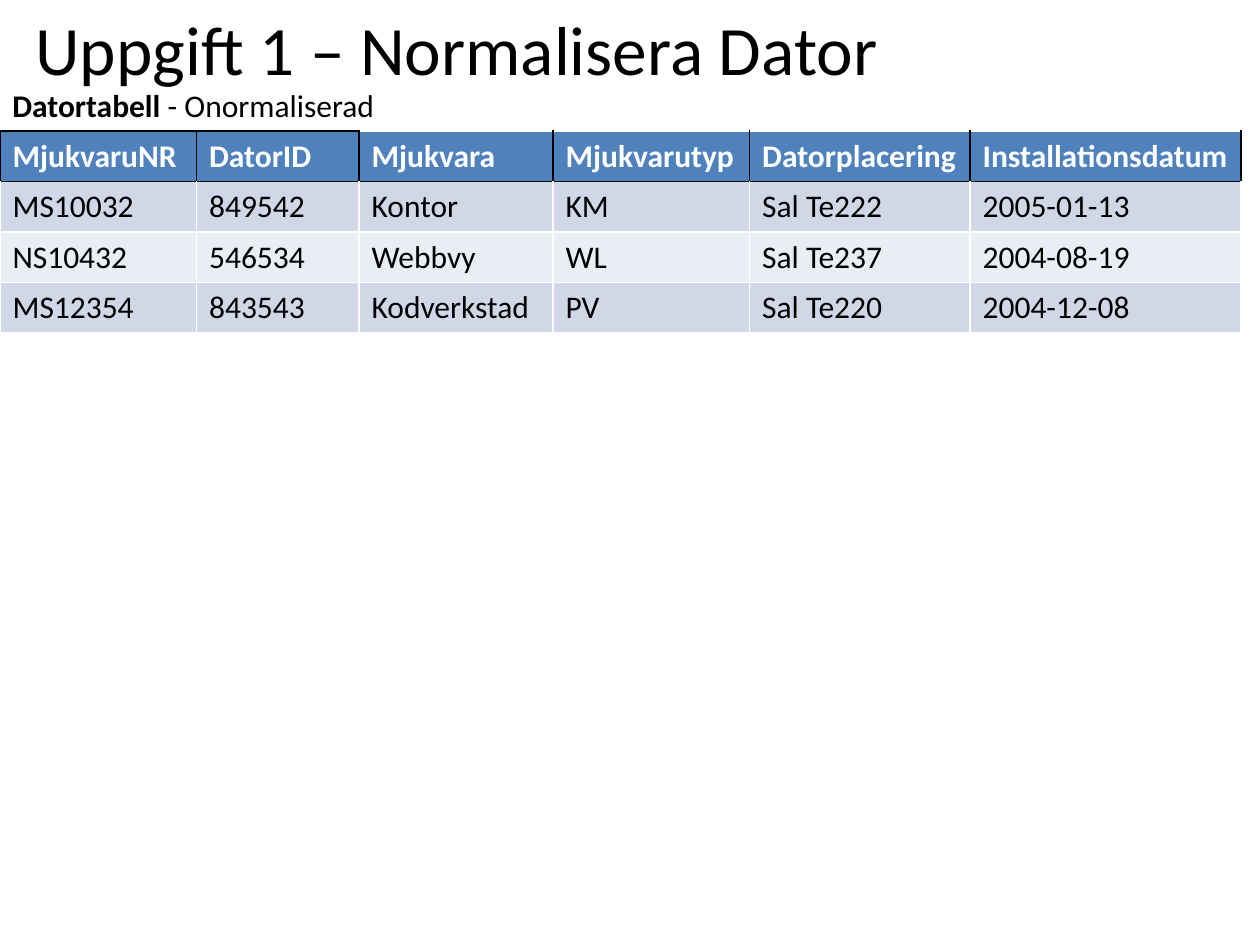
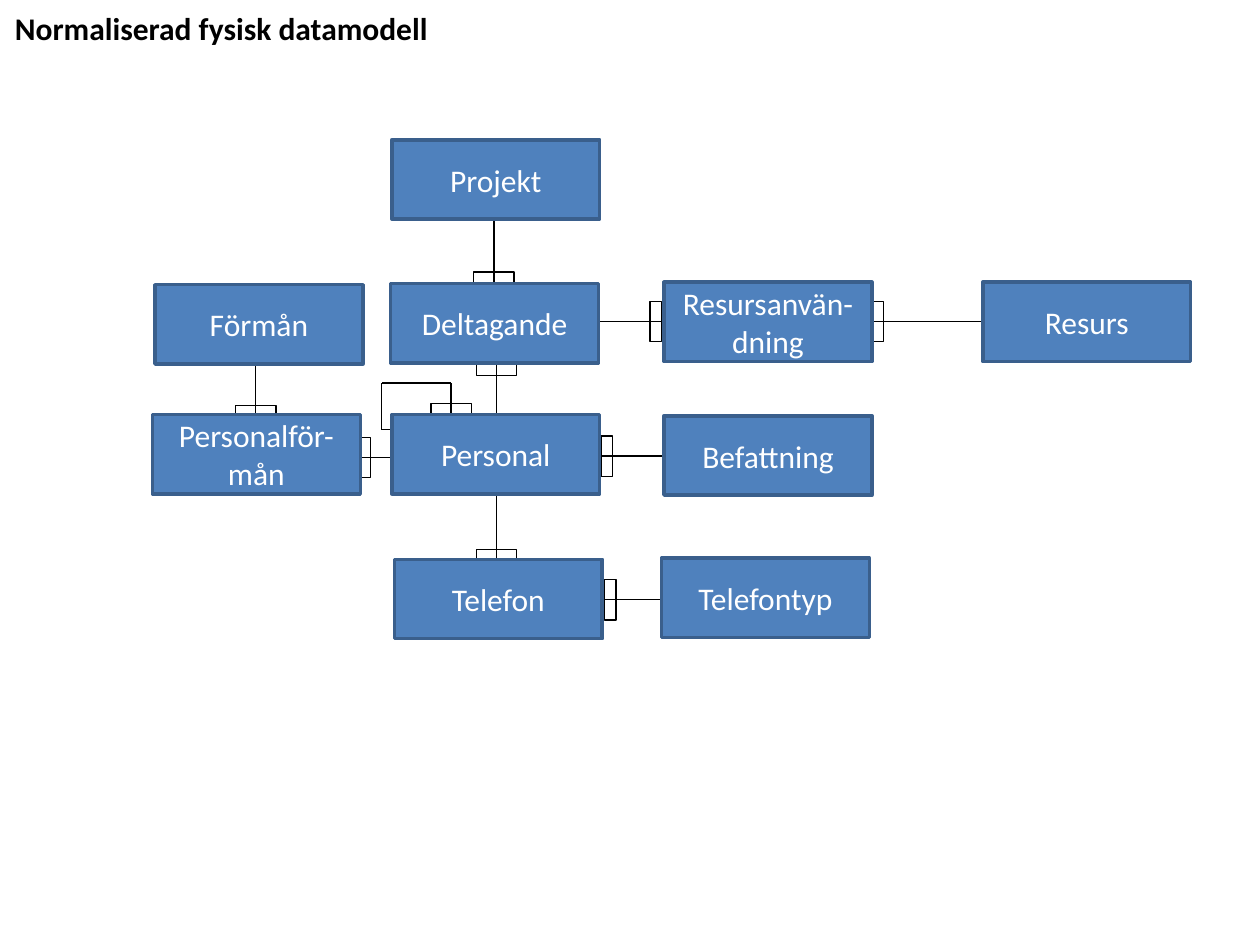
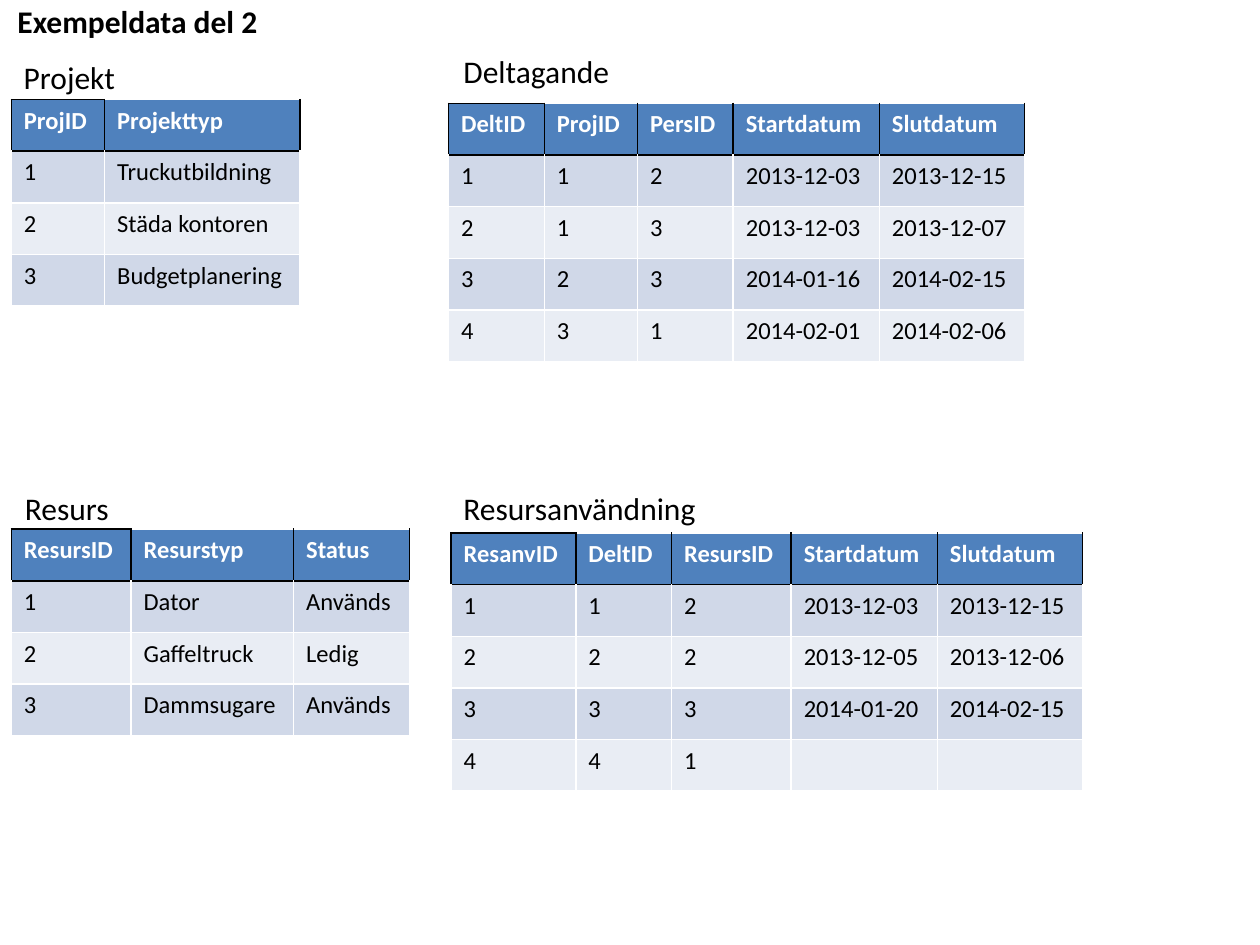
from dataclasses import dataclass

from lxml import etree
from pptx import Presentation
from pptx.dml.color import RGBColor
from pptx.enum.shapes import MSO_CONNECTOR, MSO_SHAPE
from pptx.enum.text import MSO_ANCHOR, PP_ALIGN
from pptx.oxml.ns import qn
from pptx.slide import Slide
from pptx.table import _Cell
from pptx.text.text import _Paragraph
from pptx.util import Inches, Pt

STRAIGHT = MSO_CONNECTOR.STRAIGHT
RECTANGLE = MSO_SHAPE.RECTANGLE
MIDDLE = MSO_ANCHOR.MIDDLE
CENTER = PP_ALIGN.CENTER
LEFT = PP_ALIGN.LEFT

FONT = "Calibri"
COLORS = {
    "ink": "000000",
    "paper": "FFFFFF",
    "accent": "4F81BD",
    "outline": "3A5F8C",
    "odd_row": "D0D8E8",
    "even_row": "E9EDF4",
}
BODY_SIZE = 18
LABEL_HEIGHT = 0.4
ENTITY_WIDTH, ENTITY_HEIGHT = 1.65, 0.63
FOOT_DEPTH, FOOT_WIDTH = 0.09, 0.32
LINK_WEIGHT = 0.75


@dataclass
class Label:
    text: str
    left: float
    top: float
    width: float
    bold: bool = False


@dataclass
class DataTable:
    left: float
    top: float
    row_height: float
    size: float
    columns: list[float]
    rows: list[list[str]]
    topped_columns: int = 1


@dataclass
class Entity:
    name: str
    left: float
    top: float


@dataclass
class Link:
    x1: float
    y1: float
    x2: float
    y2: float
    many: bool = True


def color(key: str) -> RGBColor:
    return RGBColor.from_string(COLORS[key])


def format_runs(paragraph: _Paragraph, size: float, key: str, bold: bool = False) -> None:
    for run in paragraph.runs:
        run.font.name = FONT
        run.font.size = Pt(size)
        run.font.bold = bold
        run.font.color.rgb = color(key)


def add_label(slide: Slide, label: Label, size: float = BODY_SIZE,
              height: float = LABEL_HEIGHT, align: PP_ALIGN = LEFT) -> _Paragraph:
    box = slide.shapes.add_textbox(
        Inches(label.left), Inches(label.top), Inches(label.width), Inches(height))
    frame = box.text_frame
    frame.word_wrap = True
    frame.vertical_anchor = MIDDLE
    frame.text = label.text
    paragraph = frame.paragraphs[0]
    paragraph.alignment = align
    format_runs(paragraph, size, "ink", label.bold)
    return paragraph


def set_borders(cell: _Cell, edges: dict[str, str]) -> None:
    properties = cell._tc.get_or_add_tcPr()
    for edge in "LRTB":
        if edge in edges:
            line = etree.SubElement(properties, qn(f"a:ln{edge}"), w=str(Pt(1)))
            fill = etree.SubElement(line, qn("a:solidFill"))
            etree.SubElement(fill, qn("a:srgbClr"), val=COLORS[edges[edge]])


def add_data_table(slide: Slide, data: DataTable) -> None:
    table = slide.shapes.add_table(
        len(data.rows), len(data.columns), Inches(data.left), Inches(data.top),
        Inches(sum(data.columns)), Inches(data.row_height * len(data.rows))).table
    for column, width in zip(table.columns, data.columns):
        column.width = Inches(width)
    for r, values in enumerate(data.rows):
        table.rows[r].height = Inches(data.row_height)
        header = r == 0
        for c, value in enumerate(values):
            cell = table.cell(r, c)
            edges = dict.fromkeys("LRTB", "ink" if header else "paper")
            if header and c >= data.topped_columns:
                del edges["T"]
            if r == 1:
                edges["T"] = "ink"
            set_borders(cell, edges)
            cell.fill.solid()
            cell.fill.fore_color.rgb = color(
                "accent" if header else "odd_row" if r % 2 else "even_row")
            if value:
                cell.text_frame.text = value
                format_runs(cell.text_frame.paragraphs[0], data.size,
                            "paper" if header else "ink", header)


def add_entity(slide: Slide, entity: Entity) -> None:
    box = slide.shapes.add_shape(
        RECTANGLE, Inches(entity.left), Inches(entity.top),
        Inches(ENTITY_WIDTH), Inches(ENTITY_HEIGHT))
    box.shadow.inherit = False
    box.fill.solid()
    box.fill.fore_color.rgb = color("accent")
    box.line.color.rgb = color("outline")
    box.line.width = Pt(2)
    frame = box.text_frame
    frame.word_wrap = True
    frame.vertical_anchor = MIDDLE
    frame.text = entity.name
    frame.paragraphs[0].alignment = CENTER
    format_runs(frame.paragraphs[0], BODY_SIZE, "paper")


def add_foot(slide: Slide, link: Link) -> None:
    if link.y1 == link.y2:
        left = link.x2 if link.x1 > link.x2 else link.x2 - FOOT_DEPTH
        top = link.y2 - FOOT_WIDTH / 2
        width, height = FOOT_DEPTH, FOOT_WIDTH
    else:
        left = link.x2 - FOOT_WIDTH / 2
        top = link.y2 if link.y1 > link.y2 else link.y2 - FOOT_DEPTH
        width, height = FOOT_WIDTH, FOOT_DEPTH
    foot = slide.shapes.add_shape(
        RECTANGLE, Inches(left), Inches(top), Inches(width), Inches(height))
    foot.shadow.inherit = False
    foot.fill.background()
    foot.line.color.rgb = color("ink")
    foot.line.width = Pt(LINK_WEIGHT)


def add_link(slide: Slide, link: Link) -> None:
    line = slide.shapes.add_connector(
        STRAIGHT, Inches(link.x1), Inches(link.y1), Inches(link.x2), Inches(link.y2))
    line.line.color.rgb = color("ink")
    line.line.width = Pt(LINK_WEIGHT)
    etree.SubElement(line._element.spPr, qn("a:effectLst"))
    if link.many:
        add_foot(slide, link)


def build_computer_slide(slide: Slide) -> None:
    add_label(slide, Label("Uppgift 1 – Normalisera Dator", -0.35, 0, 7.95),
              size=39.6, height=0.76, align=CENTER)
    add_data_table(slide, DataTable(
        0, 1.04, 0.4, BODY_SIZE, [1.56, 1.29, 1.54, 1.56, 1.75, 2.15], [
            ["MjukvaruNR", "DatorID", "Mjukvara", "Mjukvarutyp",
             "Datorplacering", "Installationsdatum"],
            ["MS10032", "849542", "Kontor", "KM", "Sal Te222", "2005-01-13"],
            ["NS10432", "546534", "Webbvy", "WL", "Sal Te237", "2004-08-19"],
            ["MS12354", "843543", "Kodverkstad", "PV", "Sal Te220", "2004-12-08"],
        ], topped_columns=2))
    caption = add_label(slide, Label("Datortabell", 0, 0.63, 3.1, bold=True))
    state = caption.add_run()
    state.text = " - Onormaliserad"
    format_runs(caption, BODY_SIZE, "ink")
    caption.runs[0].font.bold = True


def build_model_slide(slide: Slide) -> None:
    add_label(slide, Label("Normaliserad fysisk datamodell", 0.02, 0.02, 5.3, bold=True))
    links = [
        Link(4.05, 3.63, 2.85, 3.63),
        Link(5.82, 4.76, 4.8, 4.76),
        Link(3.58, 3.04, 3.03, 3.04, many=False),
        Link(3.03, 3.04, 3.03, 3.41, many=False),
        Link(3.14, 3.41, 3.03, 3.41, many=False),
        Link(3.58, 3.04, 3.58, 3.29),
        Link(3.92, 1.73, 3.92, 2.25),
        Link(3.94, 3.28, 3.94, 2.89),
        Link(4.73, 2.55, 5.25, 2.55),
        Link(7.95, 2.55, 6.92, 2.55),
        Link(5.65, 3.62, 4.77, 3.62),
        Link(2.03, 2.48, 2.03, 3.31),
        Link(3.94, 3.93, 3.94, 4.45),
    ]
    entities = [
        Entity("Projekt", 3.11, 1.11),
        Entity("Deltagande", 3.1, 2.25),
        Entity("Resursanvän-dning", 5.27, 2.24),
        Entity("Resurs", 7.8, 2.24),
        Entity("Personal", 3.11, 3.29),
        Entity("Personalför-mån", 1.21, 3.29),
        Entity("Förmån", 1.23, 2.26),
        Entity("Befattning", 5.27, 3.3),
        Entity("Telefon", 3.13, 4.44),
        Entity("Telefontyp", 5.25, 4.43),
    ]
    for link in links:
        add_link(slide, link)
    for entity in entities:
        add_entity(slide, entity)


def build_example_slide(slide: Slide) -> None:
    labels = [
        Label("Exempeldata del 2", 0.04, -0.03, 2.13, bold=True),
        Label("Deltagande", 3.58, 0.36, 1.42),
        Label("Projekt", 0.09, 0.41, 1),
        Label("Resurs", 0.1, 3.83, 1.5),
        Label("Resursanvändning", 3.58, 3.83, 2.06),
    ]
    row_height, size = 0.41, 14
    tables = [
        DataTable(3.56, 0.82, row_height, size, [0.76, 0.74, 0.76, 1.16, 1.15], [
            ["DeltID", "ProjID", "PersID", "Startdatum", "Slutdatum"],
            ["1", "1", "2", "2013-12-03", "2013-12-15"],
            ["2", "1", "3", "2013-12-03", "2013-12-07"],
            ["3", "2", "3", "2014-01-16", "2014-02-15"],
            ["4", "3", "1", "2014-02-01", "2014-02-06"],
        ]),
        DataTable(0.09, 0.79, row_height, size, [0.74, 1.55], [
            ["ProjID", "Projekttyp"],
            ["1", "Truckutbildning"],
            ["2", "Städa kontoren"],
            ["3", "Budgetplanering"],
        ]),
        DataTable(0.09, 4.2, row_height, size, [0.95, 1.29, 0.92], [
            ["ResursID", "Resurstyp", "Status"],
            ["1", "Dator", "Används"],
            ["2", "Gaffeltruck", "Ledig"],
            ["3", "Dammsugare", "Används"],
        ]),
        DataTable(3.58, 4.23, row_height, size, [0.99, 0.76, 0.95, 1.16, 1.15], [
            ["ResanvID", "DeltID", "ResursID", "Startdatum", "Slutdatum"],
            ["1", "1", "2", "2013-12-03", "2013-12-15"],
            ["2", "2", "2", "2013-12-05", "2013-12-06"],
            ["3", "3", "3", "2014-01-20", "2014-02-15"],
            ["4", "4", "1", "", ""],
        ]),
    ]
    for label in labels:
        add_label(slide, label)
    for table in tables:
        add_data_table(slide, table)


presentation = Presentation()
presentation.slide_width = Inches(10)
presentation.slide_height = Inches(7.5)
blank_layout = presentation.slide_layouts[6]
for build in (build_computer_slide, build_model_slide, build_example_slide):
    build(presentation.slides.add_slide(blank_layout))
presentation.save("out.pptx")
